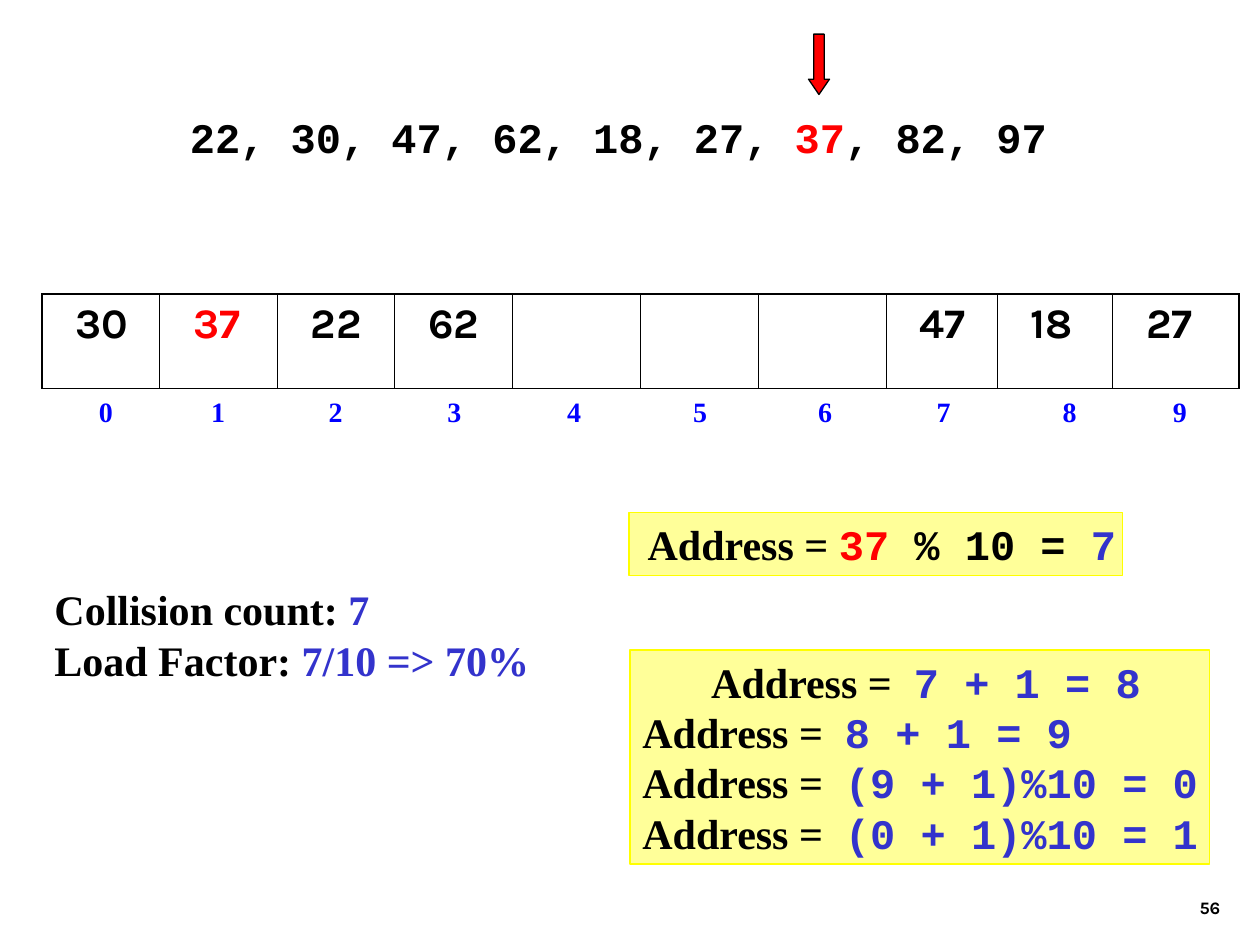
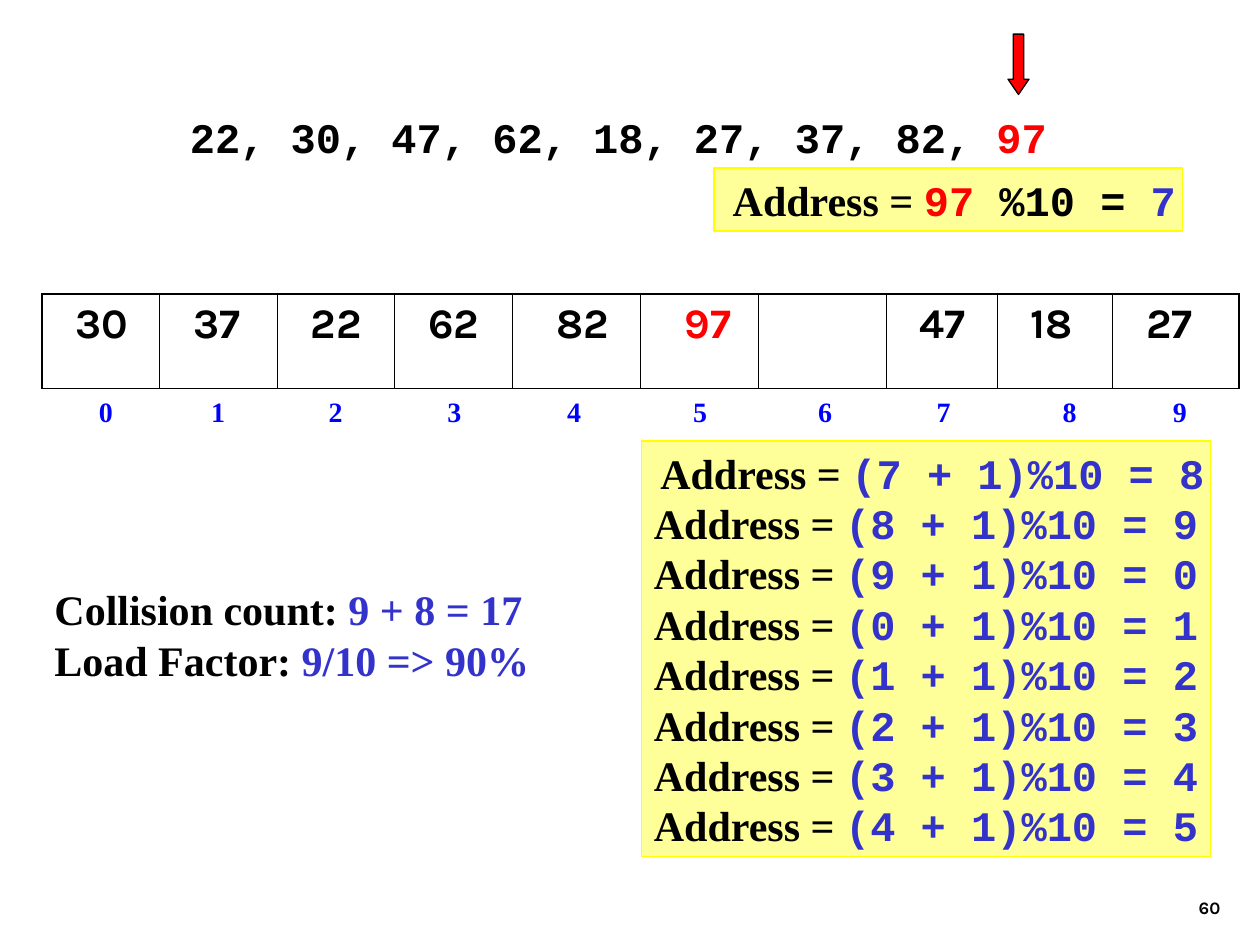
import pptx
import pptx.util
import pptx.dml.color
import pptx.enum.shapes
import pptx.enum.text
import pptx.oxml
import pptx.oxml.ns
from lxml import etree

RGB = pptx.dml.color.RGBColor
BLACK = RGB(0x00, 0x00, 0x00)
RED = RGB(0xFF, 0x00, 0x00)
INDEX_BLUE = RGB(0x00, 0x00, 0xFF)
RESULT_BLUE = RGB(0x33, 0x33, 0xCC)
NOTE_FILL = RGB(0xFF, 0xFF, 0x99)
NOTE_LINE = RGB(0xFF, 0xFF, 0x00)

SERIF, MONO, SANS = "Times New Roman", "Courier New", "Karla"
SHAPE = pptx.enum.shapes.MSO_SHAPE
ANCHOR = pptx.enum.text.MSO_ANCHOR
ALIGN = pptx.enum.text.PP_ALIGN

# The slide is a grid of 120 columns by 90 rows
COLS, ROWS = 120, 90
WIDTH, HEIGHT = pptx.util.Inches(10), pptx.util.Inches(7.5)

KEYS = [22, 30, 47, 62, 18, 27, 37, 82, 97]
SLOT_COLS = [11.2, 11.2, 11.2, 11.2, 12.2, 11.2, 12.2, 10.6, 11, 12]
INDEX_TABS = [5.9, 16.6, 27.8, 39.1, 50.5, 62.5, 74.4, 85.7, 97.7, 108.2]
WIDE_INDENT_SLOTS = (4, 5)


def col(n):
    return round(WIDTH * n / COLS)


def row(n):
    return round(HEIGHT * n / ROWS)


def area(x, y, w, h):
    return col(x), row(y), col(w), row(h)


# Text
def add_text(p, text, font=SERIF, size=24, color=BLACK):
    r = p.add_run()
    r.text = text
    r.font.name = font
    r.font.size = pptx.util.Pt(size)
    r.font.bold = True
    r.font.color.rgb = color


def set_tabs(p, stops, align):
    tabs = etree.SubElement(p._p.get_or_add_pPr(), pptx.oxml.ns.qn("a:tabLst"))
    for stop in stops:
        etree.SubElement(tabs, pptx.oxml.ns.qn("a:tab"), pos=str(col(stop)), algn=align)


def start_text(sp):
    tf = sp.text_frame
    tf.word_wrap = True
    tf.vertical_anchor = ANCHOR.TOP
    return tf


def add_box(slide, place):
    return start_text(slide.shapes.add_textbox(*area(*place)))


def next_paragraph(tf, i):
    return tf.add_paragraph() if i else tf.paragraphs[0]


# Shapes
def add_filled(slide, kind, place, fill, line):
    sp = slide.shapes.add_shape(kind, *area(*place))
    sp.shadow.inherit = False
    sp.fill.solid()
    sp.fill.fore_color.rgb = fill
    sp.line.color.rgb = line
    sp.line.width = pptx.util.Pt(0.75)
    return sp


def add_note(slide, place):
    tf = start_text(add_filled(slide, SHAPE.RECTANGLE, place, NOTE_FILL, NOTE_LINE))
    tf.margin_right = 0
    return tf


def add_key_arrow(slide, key):
    left = 20 + 9.5 * KEYS.index(key)
    sp = add_filled(slide, SHAPE.DOWN_ARROW, (left, 3.25, 2, 5.75), RED, BLACK)
    sp.adjustments[0] = 0.5
    sp.adjustments[1] = 0.73


# Key sequence with the current key in red
def add_keys(slide, current):
    p = add_box(slide, (16.9, 10, 84, 6)).paragraphs[0]
    before, after = ", ".join(map(str, KEYS)).split(str(current))
    for text, color in ((before, BLACK), (str(current), RED), (after, BLACK)):
        if text:
            add_text(p, text, font=MONO, color=color)


# Hash table
def set_borders(cell, widths):
    tcPr = cell._tc.get_or_add_tcPr()
    for i, (side, width) in enumerate(widths.items()):
        tcPr.insert(i, pptx.oxml.parse_xml(
            f'<a:ln{side} {pptx.oxml.ns.nsdecls("a")} w="{pptx.util.Pt(width)}">'
            f'<a:solidFill><a:srgbClr val="{BLACK}"/></a:solidFill></a:ln{side}>'))


def add_hash_table(slide, slots, current):
    table = slide.shapes.add_table(1, len(SLOT_COLS), *area(4, 28, 114, 9)).table
    table.first_row = table.horz_banding = False
    last = len(SLOT_COLS) - 1
    for i, width in enumerate(SLOT_COLS):
        table.columns[i].width = col(width)
        cell = table.cell(0, i)
        cell.fill.background()
        set_borders(cell, {"L": 0.45 if i else 1.08, "R": 1.08 if i == last else 0.45,
                           "T": 1.08, "B": 1.08})
        cell.margin_left = col(4.2 if i in WIDE_INDENT_SLOTS else 3.2)
        if i in slots:
            add_text(cell.text_frame.paragraphs[0], str(slots[i]), font=SANS,
                     color=RED if slots[i] == current else BLACK)


def add_indexes(slide):
    p = add_box(slide, (3, 37, 115, 7.7)).paragraphs[0]
    set_tabs(p, INDEX_TABS, "ctr")
    add_text(p, "".join(f"\t{i}" for i in range(10)), size=16, color=INDEX_BLUE)


# Address calculations
def add_hash_note(slide, place, key, operation):
    p = add_note(slide, place).paragraphs[0]
    add_text(p, "Address = ")
    add_text(p, str(key), font=MONO, color=RED)
    add_text(p, f" {operation} = ", font=MONO)
    add_text(p, str(key % 10), font=MONO, color=RESULT_BLUE)


def add_probe_note(slide, place, probes, tab=None):
    tf = add_note(slide, place)
    for i, probe in enumerate(probes):
        p = next_paragraph(tf, i)
        if tab:
            set_tabs(p, [tab], "l")
        add_text(p, "Address =" + ("\t" if tab else " "))
        add_text(p, probe, font=MONO, color=RESULT_BLUE)


def add_statistics(slide, collisions, load):
    tf = add_box(slide, (4, 55, 52, 10.8))
    lines = (("Collision count: ", collisions), ("Load Factor: ", load))
    for i, (label, value) in enumerate(lines):
        p = next_paragraph(tf, i)
        add_text(p, label)
        add_text(p, value, color=RESULT_BLUE)


def add_page_number(slide, number):
    tf = add_box(slide, (92.4, 82, 25, 6))
    tf.vertical_anchor = ANCHOR.BOTTOM
    tf.paragraphs[0].alignment = ALIGN.RIGHT
    add_text(tf.paragraphs[0], str(number), font=SANS, size=10)


# Parts that every insertion step shares
def add_step(prs, number, key, slots, collisions, load):
    slide = prs.slides.add_slide(prs.slide_layouts[6])
    add_page_number(slide, number)
    add_indexes(slide)
    add_hash_table(slide, slots, key)
    add_keys(slide, key)
    add_key_arrow(slide, key)
    add_statistics(slide, collisions, load)
    return slide


def main():
    prs = pptx.Presentation()
    prs.slide_width, prs.slide_height = WIDTH, HEIGHT

    # Insert 37
    slots = {0: 30, 1: 37, 2: 22, 3: 62, 7: 47, 8: 18, 9: 27}
    slide = add_step(prs, 56, 37, slots, "7", "7/10 => 70%")
    add_hash_note(slide, (59.9, 48.8, 47, 6), 37, "% 10")
    add_probe_note(slide, (60, 61.9, 55.2, 20.4),
                   ["7 + 1 = 8", "8 + 1 = 9", "(9 + 1)%10 = 0", "(0 + 1)%10 = 1"],
                   tab=19.3)

    # Insert 97
    slots = {**slots, 4: 82, 5: 97}
    slide = add_step(prs, 60, 97, slots, "9 + 8 = 17", "9/10 => 90%")
    add_hash_note(slide, (68, 16, 44.6, 6), 97, "%10")
    tried = [(7 + i) % 10 for i in range(8)]
    add_probe_note(slide, (61.1, 42, 54.2, 39.6),
                   [f"({a} + 1)%10 = {(a + 1) % 10}" for a in tried])

    prs.save("out.pptx")


if __name__ == "__main__":
    main()
